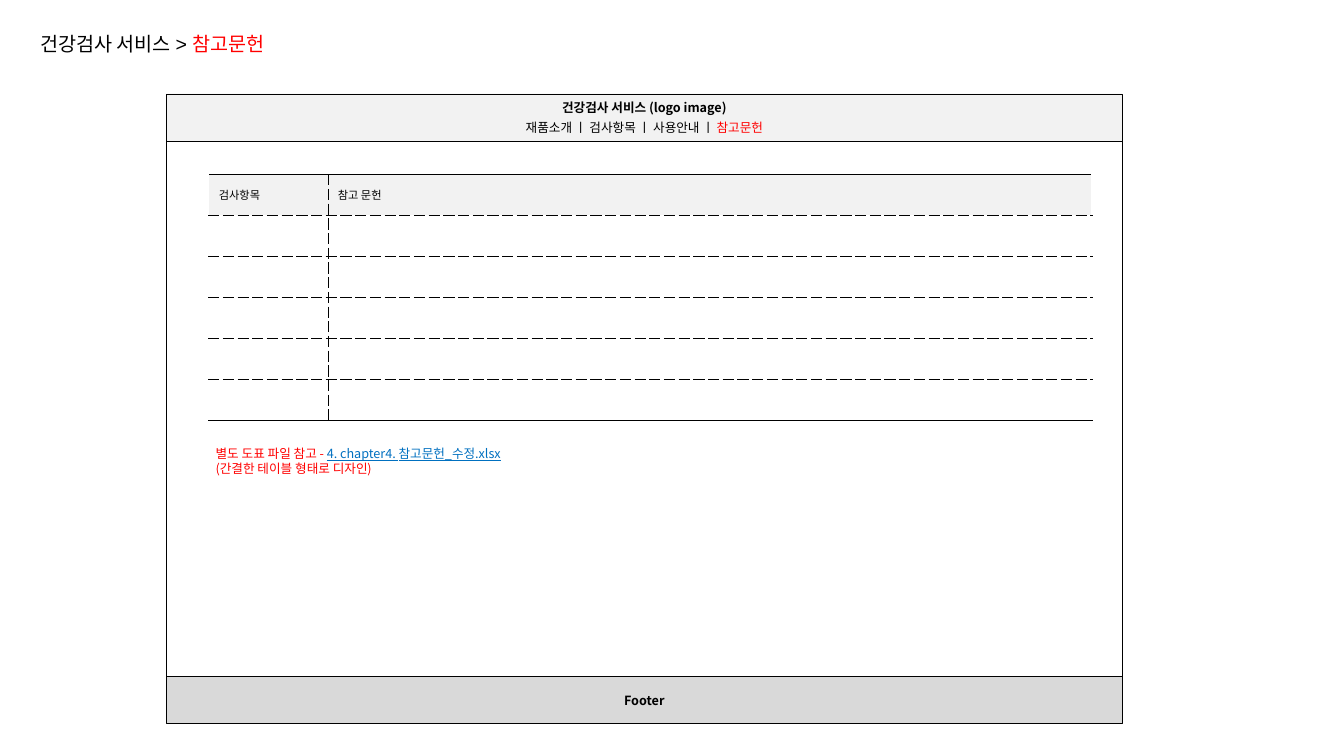
from pptx import Presentation
from pptx.dml.color import RGBColor
from pptx.enum.shapes import MSO_SHAPE
from pptx.enum.text import MSO_ANCHOR, MSO_AUTO_SIZE, PP_ALIGN
from pptx.oxml.ns import qn
from pptx.util import Inches, Pt
from lxml.etree import SubElement

RECT = MSO_SHAPE.RECTANGLE
MIDDLE = MSO_ANCHOR.MIDDLE
CENTER, LEFT = PP_ALIGN.CENTER, PP_ALIGN.LEFT
FIT = MSO_AUTO_SIZE.SHAPE_TO_FIT_TEXT

KOREAN, LATIN = "Noto Sans CJK KR", "Arial"
BLACK, WHITE, RED, BLUE = "000000", "FFFFFF", "FF0000", "0070C0"
PALE, GREY = "F2F2F2", "D9D9D9"
HAIR = 0.25

TITLE = [[("건강검사 서비스 > ", {"font": LATIN}), ("참고문헌", {"color": RED})]]
HEADER = [
    [("건강검사 서비스 (logo image)", {"bold": True})],
    [("재품소개 ㅣ 검사항목 ㅣ 사용안내 ㅣ ", {}), ("참고문헌", {"color": RED})],
]
FOOTER = [[("Footer", {"bold": True})]]
NOTE = [
    [("별도 도표 파일 참고 - ", {"color": RED}),
     ("4. chapter4. 참고문헌_수정.xlsx", {"color": BLUE, "underline": True})],
    [("(간결한 테이블 형태로 디자인)", {"color": RED})],
]
COLUMNS = [("검사항목", 1.18), ("참고 문헌", 7.58)]
ROWS, ROW_H = 6, 2.44 / 6

PAGE_X, PAGE_Y, PAGE_W = 1.65, 0.93, 9.48
BAR_H, BODY_H = 0.47, 5.31
BANDS = [(BAR_H, PALE, HEADER), (BODY_H, WHITE, []), (BAR_H, GREY, FOOTER)]


def rgb(value):
    return RGBColor.from_string(value)


def write(tf, paragraphs, size, align=LEFT, gap=0):
    for i, runs in enumerate(paragraphs):
        p = tf.paragraphs[0] if i == 0 else tf.add_paragraph()
        p.alignment = align
        if i:
            p.space_before = Pt(gap)
        for text, look in runs:
            r = p.add_run()
            r.text = text
            r.font.size = Pt(size)
            r.font.bold = look.get("bold", False)
            r.font.underline = look.get("underline", False)
            r.font.color.rgb = rgb(look.get("color", BLACK))
            r.font.name = look.get("font", KOREAN)
            SubElement(r.font._element, qn("a:ea"), typeface=KOREAN)


def add_band(s, top, height, fill, paragraphs):
    sp = s.shapes.add_shape(RECT, Inches(PAGE_X), Inches(top), Inches(PAGE_W), Inches(height))
    sp.shadow.inherit = False
    sp.fill.solid()
    sp.fill.fore_color.rgb = rgb(fill)
    sp.line.color.rgb = rgb(BLACK)
    sp.line.width = Pt(HAIR)
    sp.text_frame.vertical_anchor = MIDDLE
    write(sp.text_frame, paragraphs, 9, CENTER, gap=3)


def add_text(s, box, paragraphs, size):
    tf = s.shapes.add_textbox(*map(Inches, box)).text_frame
    tf.word_wrap = False
    tf.auto_size = FIT
    write(tf, paragraphs, size)


def set_border(cell, side, color, width, dash):
    props = cell._tc.get_or_add_tcPr()
    ln = SubElement(props, qn("a:ln" + side), w=str(Pt(width)))
    SubElement(SubElement(ln, qn("a:solidFill")), qn("a:srgbClr"), val=color)
    SubElement(ln, qn("a:prstDash"), val=dash)


def add_reference_table(s):
    total = sum(width for _, width in COLUMNS)
    table = s.shapes.add_table(ROWS, len(COLUMNS), Inches(2.07), Inches(1.73),
                               Inches(total), Inches(ROW_H * ROWS)).table
    table.first_row = table.horz_banding = False
    outer = (WHITE, 1, "solid")
    solid, dashed = (BLACK, HAIR, "solid"), (BLACK, HAIR, "sysDash")
    for row in range(ROWS):
        table.rows[row].height = Inches(ROW_H)
        for col, (label, width) in enumerate(COLUMNS):
            table.columns[col].width = Inches(width)
            cell = table.cell(row, col)
            cell.vertical_anchor = MIDDLE
            cell.margin_top = cell.margin_bottom = 0
            set_border(cell, "L", *(outer if col == 0 else dashed))
            set_border(cell, "R", *(outer if col == len(COLUMNS) - 1 else dashed))
            set_border(cell, "T", *(solid if row == 0 else dashed))
            set_border(cell, "B", *(solid if row == ROWS - 1 else dashed))
            cell.fill.solid()
            cell.fill.fore_color.rgb = rgb(WHITE if row else PALE)
            if row == 0:
                write(cell.text_frame, [[(label, {})]], 8)


def main():
    prs = Presentation()
    prs.slide_width, prs.slide_height = Inches(13.33), Inches(7.5)
    s = prs.slides.add_slide(prs.slide_layouts[6])
    top = PAGE_Y
    for height, fill, paragraphs in BANDS:
        add_band(s, top, height, fill, paragraphs)
        top += height
    add_text(s, (0.3, 0.27, 2.7, 0.34), TITLE, 14)
    add_reference_table(s)
    add_text(s, (2.04, 4.37, 3.24, 0.4), NOTE, 9)
    prs.save("out.pptx")


if __name__ == "__main__":
    main()
